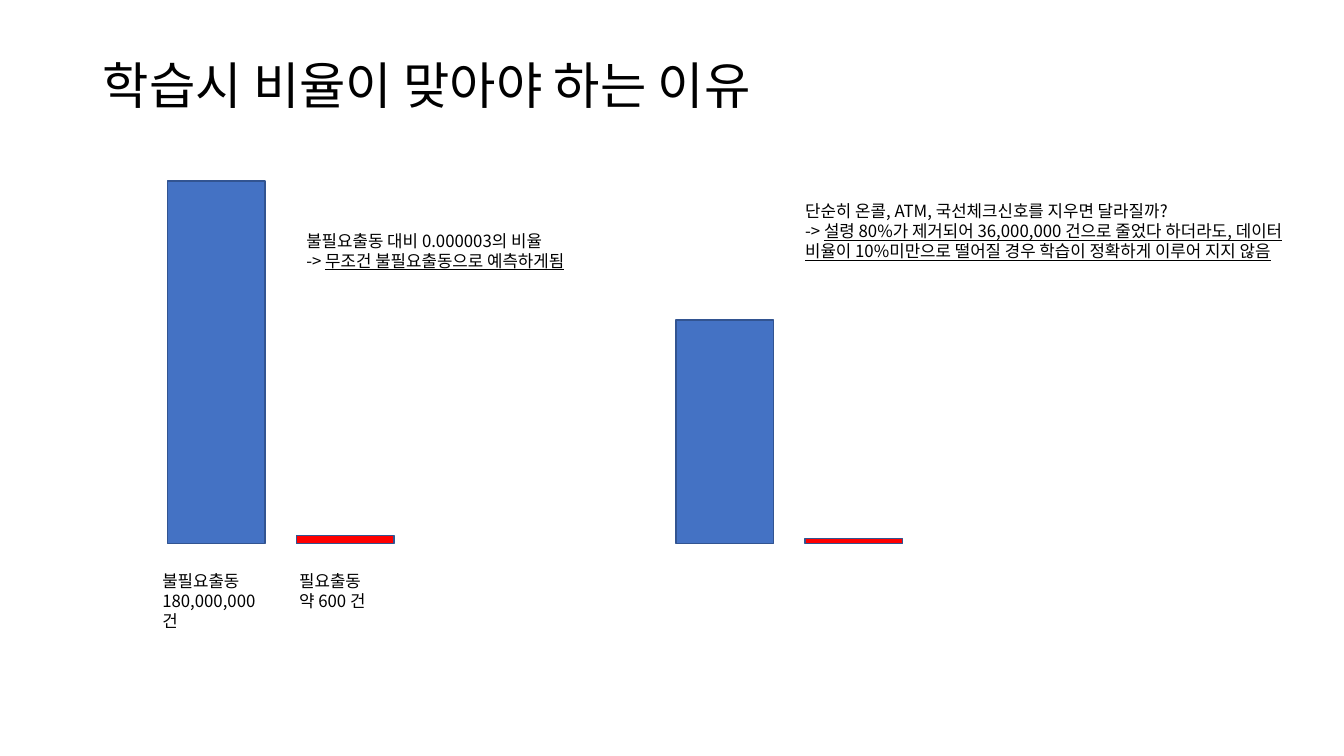
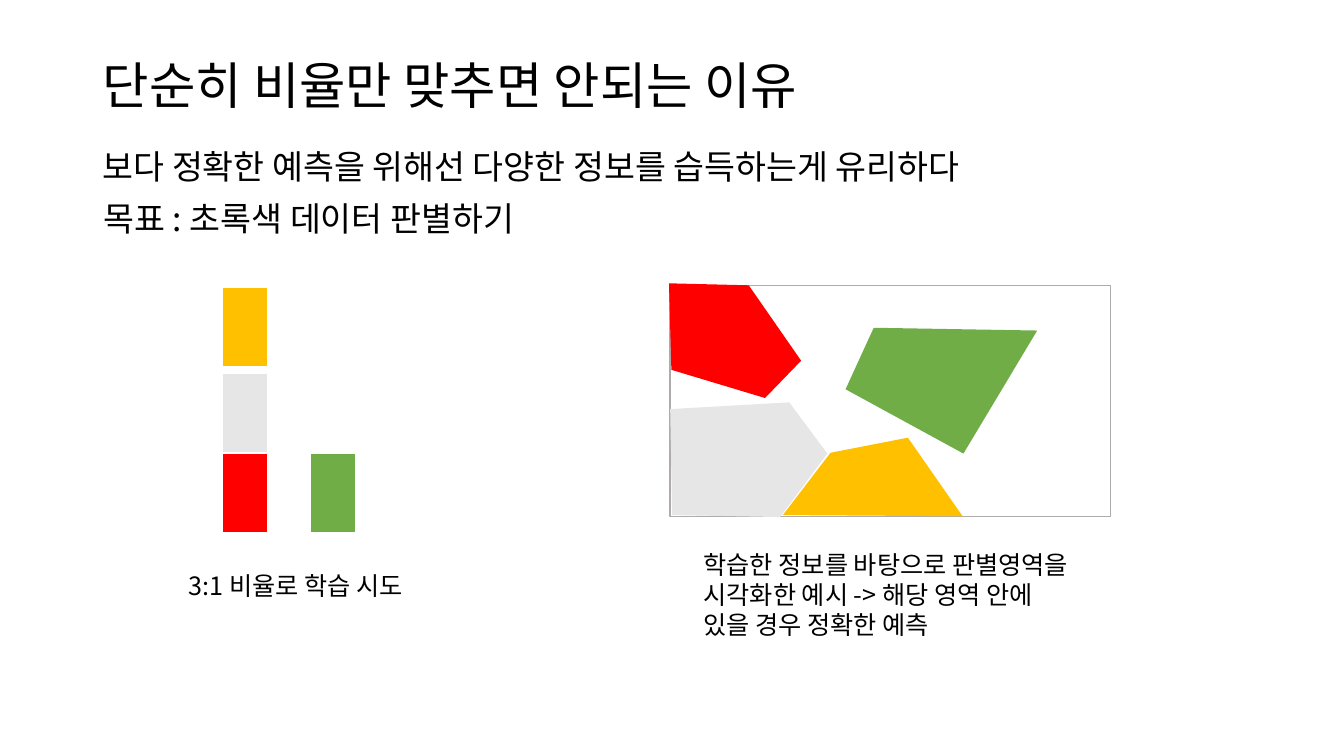
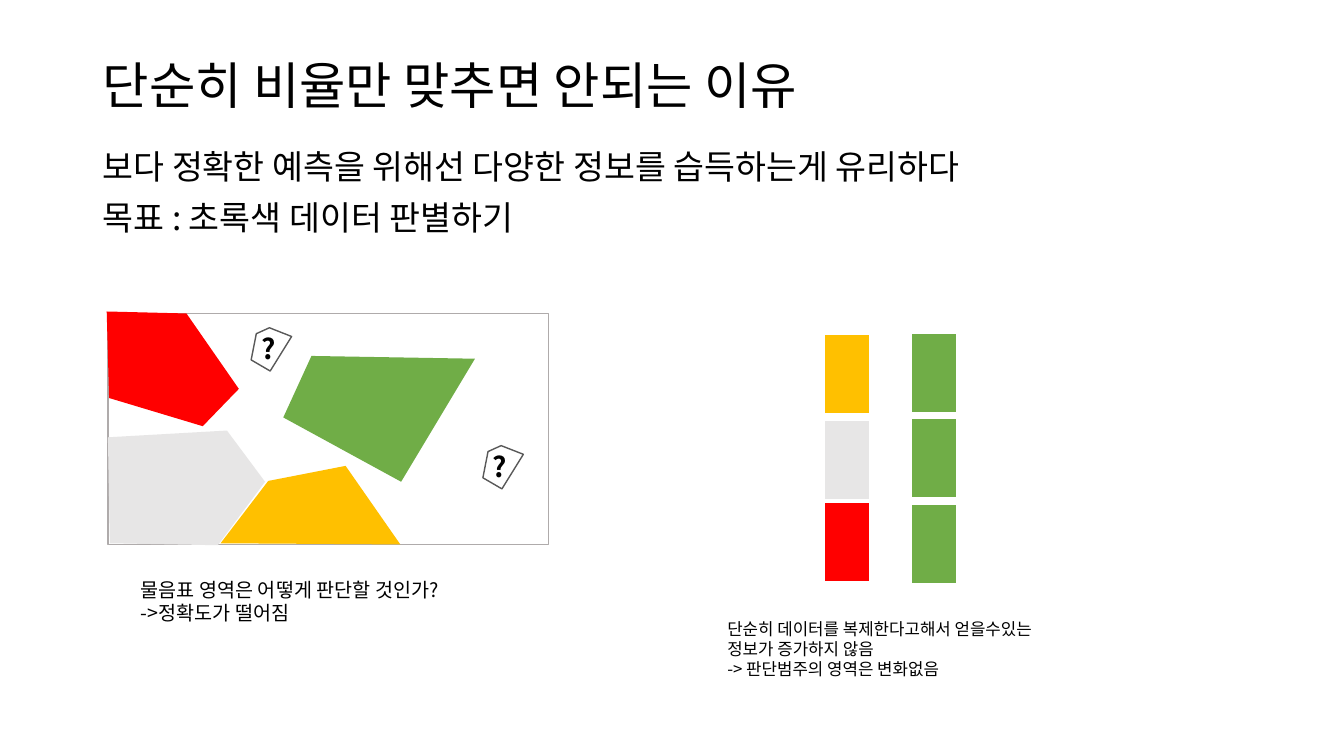
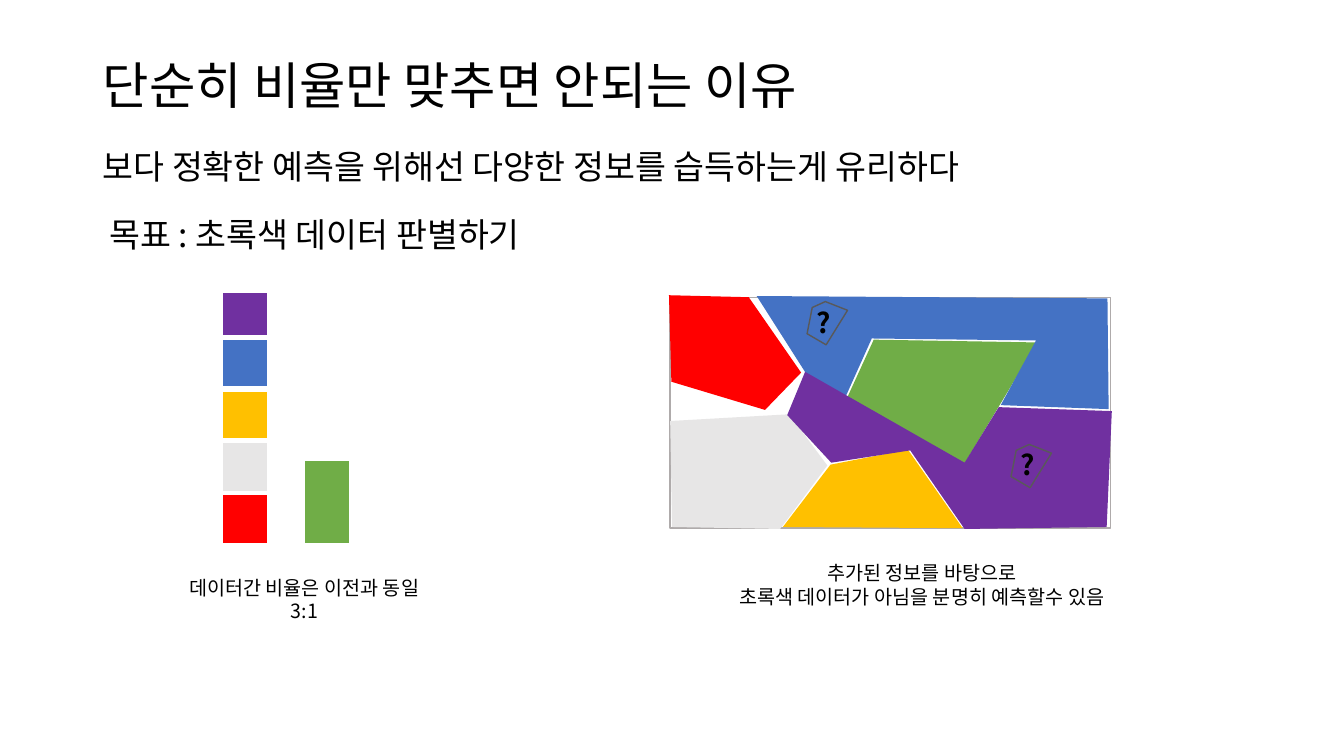
"""Build four slides on class balance and information variety in training data."""
from dataclasses import dataclass

from lxml import etree
from pptx import Presentation
from pptx.dml.color import RGBColor
from pptx.enum.shapes import MSO_SHAPE
from pptx.enum.text import MSO_ANCHOR, PP_ALIGN
from pptx.oxml.ns import qn
from pptx.util import Cm, Pt

RECTANGLE = MSO_SHAPE.RECTANGLE
LEFT, CENTER = PP_ALIGN.LEFT, PP_ALIGN.CENTER
TOP, MIDDLE = MSO_ANCHOR.TOP, MSO_ANCHOR.MIDDLE


@dataclass(frozen=True)
class Theme:
    font: str = "Noto Sans CJK KR"
    ink: str = "000000"
    white: str = "FFFFFF"
    blue: str = "4472C4"
    bar_edge: str = "325491"
    red: str = "FF0000"
    gray: str = "E7E6E6"
    yellow: str = "FFC000"
    green: str = "70AD47"
    purple: str = "7030A0"
    frame_edge: str = "AFABAB"
    mark_edge: str = "595959"
    title: int = 36
    lead: int = 24
    mark: int = 20
    caption: int = 18
    note: int = 14
    small: int = 12
    leading: float = 1.19
    title_leading: float = 1.07


T = Theme()

RATIO_TITLE = "학습시 비율이 맞아야 하는 이유"
VARIETY_TITLE = "단순히 비율만 맞추면 안되는 이유"
LEAD = "보다 정확한 예측을 위해선 다양한 정보를 습득하는게 유리하다"
GOAL = "목표 : 초록색 데이터 판별하기"

BAR_WIDTH, BAR_BASE = 2.46, 13.7
BARS = [(4.22, 9.14, T.blue), (7.47, 0.2, T.red),
        (17.04, 5.64, T.blue), (20.29, 0.13, T.red)]
BAR_NOTES = [
    (3.84, 14.27, 3.23, ["불필요출동", "180,000,000건"]),
    (7.29, 14.27, 3.23, ["필요출동", "약 600 건"]),
    (7.47, 5.69, 9.6, ["불필요출동 대비 0.000003의 비율",
                       ("-> ", "무조건 불필요출동으로 예측하게됨")]),
    (20.04, 4.95, 12.67, [
        "단순히 온콜, ATM, 국선체크신호를 지우면 달라질까?",
        ("-> ", "설령 80%가 제거되어 36,000,000 건으로 줄었다 하더라도, "
                "데이터 비율이 10%미만으로 떨어질 경우 학습이 정확하게 이루어 지지 않음")]),
]

BLOCK_WIDTH = 1.14
MAP_SIZE = (11.1, 5.82)
REGIONS = [
    (T.red, [(1.98, 0), (3.3, 1.9), (2.39, 2.84), (0.03, 2.13), (-0.03, -0.05)]),
    (T.gray, [(0, 3.12), (3, 2.95), (3.96, 4.24), (2.77, 5.84), (0.05, 5.79)]),
    (T.yellow, [(4.04, 4.22), (5.99, 3.84), (7.37, 5.82), (2.84, 5.79)]),
    (T.green, [(5.13, 1.07), (4.42, 2.62), (7.39, 4.24), (9.25, 1.14)]),
]
ADDED_REGIONS = [
    (T.blue, [(2.18, -0.03), (3.48, 2.01), (4.42, 2.51), (5.08, 1.04),
              (9.22, 1.09), (8.33, 2.72), (11.05, 2.82), (11.02, 0.03)]),
    (T.purple, [(11.13, 2.87), (8.28, 2.77), (7.42, 4.17), (3.4, 1.88),
                (2.95, 2.97), (4.06, 4.17), (6.05, 3.86), (7.42, 5.84),
                (11, 5.79)]),
]
MARK_SIZE = (0.89, 1.12)
MARK_OUTLINE = [(0.13, 0.18), (0, 0.84), (0.48, 1.12), (1.02, 0.25), (0.46, 0.03)]

VARIETY_SLIDES = [
    {"goal": (2.36, 4.88), "map": (16.89, 7.19),
     "regions": REGIONS, "marks": [],
     "stacks": [
         (5.61, [(T.yellow, 7.24, 2.03), (T.gray, 9.4, 2.03), (T.red, 11.43, 2.03)]),
         (7.82, [(T.green, 11.43, 2.03)])],
     "captions": [
         (4.5, 14.25, 6.6, T.caption, LEFT, ["3:1 비율로 학습 시도"]),
         (17.48, 13.72, 9.98, T.caption, LEFT,
          ["학습한 정보를 바탕으로 판별영역을 시각화한 예시 -> "
           "해당 영역 안에 있을 경우 정확한 예측"])]},
    {"goal": (2.34, 4.85), "map": (2.72, 7.9),
     "regions": REGIONS, "marks": [(3.61, 0.33), (9.45, 3.3)],
     "stacks": [
         (20.78, [(T.yellow, 8.43, 2.03), (T.gray, 10.59, 2.03), (T.red, 12.65, 2.03)]),
         (22.96, [(T.green, 8.41, 2.03), (T.green, 10.54, 2.03), (T.green, 12.7, 2.03)])],
     "captions": [
         (3.3, 14.43, 9.98, T.note, LEFT,
          ["물음표 영역은 어떻게 판단할 것인가?", "->정확도가 떨어짐"]),
         (18.08, 15.47, 9.04, T.small, LEFT,
          ["단순히 데이터를 복제한다고해서 얻을수있는 정보가 증가하지 않음",
           "-> 판단범주의 영역은 변화없음"])]},
    {"goal": (2.51, 5.28), "map": (16.89, 7.49),
     "regions": REGIONS + ADDED_REGIONS, "marks": [(3.45, 0.08), (8.59, 3.68)],
     "stacks": [
         (5.6, [(T.purple, 7.37, 1.12), (T.blue, 8.56, 1.22), (T.yellow, 9.86, 1.22),
                (T.gray, 11.15, 1.27), (T.red, 12.47, 1.27)]),
         (7.67, [(T.green, 11.61, 2.13)])],
     "captions": [
         (3.15, 14.38, 9.04, T.note, CENTER, ["데이터간 비율은 이전과 동일", "3:1"]),
         (17.48, 14.02, 11.51, T.note, CENTER,
          ["추가된 정보를 바탕으로", "초록색 데이터가 아님을 분명히 예측할수 있음"])]},
]


def rgb(color):
    return RGBColor.from_string(color)


def write(slide, left, top, width, height, lines, size, align=LEFT,
          anchor=TOP, leading=T.leading, bold=False):
    """Place text; in a (plain, underlined) line the second part is underlined."""
    frame = slide.shapes.add_textbox(Cm(left), Cm(top), Cm(width), Cm(height)).text_frame
    frame.word_wrap = True
    frame.vertical_anchor = anchor
    for index, line in enumerate(lines):
        paragraph = frame.paragraphs[0] if index == 0 else frame.add_paragraph()
        paragraph.alignment = align
        paragraph.line_spacing = Pt(round(size * leading, 1))
        parts = (line,) if isinstance(line, str) else line
        for position, part in enumerate(parts):
            run = paragraph.add_run()
            run.text = part
            run.font.name = T.font
            run.font.size = Pt(size)
            run.font.bold = bold
            run.font.underline = position == 1
            run.font.color.rgb = rgb(T.ink)
            east_asian = etree.SubElement(run.font._element, qn("a:ea"))
            east_asian.set("typeface", T.font)


def paint(shape, fill=None, edge=None):
    shape.shadow.inherit = False
    if fill:
        shape.fill.solid()
        shape.fill.fore_color.rgb = rgb(fill)
    else:
        shape.fill.background()
    if edge:
        shape.line.color.rgb = rgb(edge)
        shape.line.width = Pt(1)
    else:
        shape.line.fill.background()


def add_box(slide, left, top, width, height, fill, edge):
    box = slide.shapes.add_shape(RECTANGLE, Cm(left), Cm(top), Cm(width), Cm(height))
    paint(box, fill, edge)


def add_outline(slide, origin, corners, fill=None, edge=None):
    points = [(Cm(origin[0] + x), Cm(origin[1] + y)) for x, y in corners]
    builder = slide.shapes.build_freeform(*points[0])
    builder.add_line_segments(points[1:], close=True)
    paint(builder.convert_to_shape(), fill, edge)


def add_block(slide, left, top, height, color):
    table = slide.shapes.add_table(
        1, 1, Cm(left), Cm(top), Cm(BLOCK_WIDTH), Cm(height)).table
    cell = table.cell(0, 0)
    cell.margin_left = cell.margin_right = cell.margin_top = cell.margin_bottom = 0
    properties = cell._tc.get_or_add_tcPr()
    for side, weight in (("L", 1), ("R", 1), ("T", 1), ("B", 3)):
        border = etree.SubElement(properties, qn(f"a:ln{side}"), w=str(Pt(weight)))
        solid = etree.SubElement(border, qn("a:solidFill"))
        etree.SubElement(solid, qn("a:srgbClr"), val=T.white)
    cell.fill.solid()
    cell.fill.fore_color.rgb = rgb(color)


def add_map(slide, origin, regions, marks):
    add_box(slide, *origin, *MAP_SIZE, T.white, T.frame_edge)
    for color, corners in regions:
        add_outline(slide, origin, corners, fill=color)
    for x, y in marks:
        corner = (origin[0] + x, origin[1] + y)
        write(slide, *corner, *MARK_SIZE, ["?"], T.mark, bold=True)
        add_outline(slide, corner, MARK_OUTLINE, edge=T.mark_edge)


def new_slide(deck, title):
    slide = deck.slides.add_slide(deck.slide_layouts[6])
    write(slide, 2.34, 1.02, 29.21, 2.39, [title], T.title,
          anchor=MIDDLE, leading=T.title_leading)
    return slide


def build_ratio_slide(deck):
    slide = new_slide(deck, RATIO_TITLE)
    for left, height, color in BARS:
        add_box(slide, left, BAR_BASE - height, BAR_WIDTH, height, color, T.bar_edge)
    for left, top, width, lines in BAR_NOTES:
        write(slide, left, top, width, 1.27, lines, T.small)


def build_variety_slide(deck, content):
    slide = new_slide(deck, VARIETY_TITLE)
    for (left, top), line in (((2.34, 3.56), LEAD), (content["goal"], GOAL)):
        write(slide, left, top, 25.73, 1.27, [line], T.lead)
    add_map(slide, content["map"], content["regions"], content["marks"])
    for left, blocks in content["stacks"]:
        for color, top, height in blocks:
            add_block(slide, left, top, height, color)
    for left, top, width, size, align, lines in content["captions"]:
        write(slide, left, top, width, 1.45, lines, size, align)


def main():
    deck = Presentation()
    deck.slide_width, deck.slide_height = Cm(33.87), Cm(19.05)
    build_ratio_slide(deck)
    for content in VARIETY_SLIDES:
        build_variety_slide(deck, content)
    deck.save("out.pptx")


if __name__ == "__main__":
    main()
